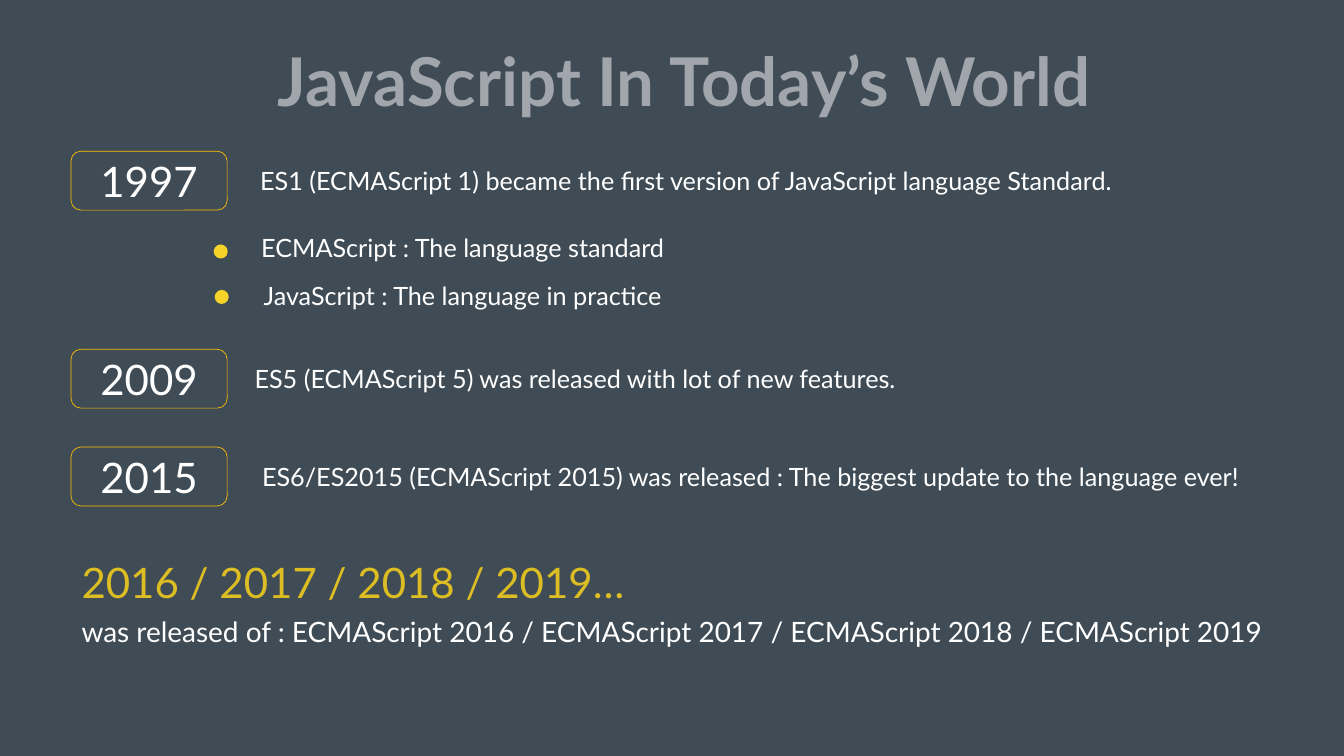
"""Build a slide on the history of JavaScript language versions."""
from pptx import Presentation
from pptx.dml.color import RGBColor
from pptx.enum.shapes import MSO_SHAPE as Shape
from pptx.enum.text import MSO_ANCHOR as Anchor, MSO_AUTO_SIZE as AutoSize, PP_ALIGN as Align
from pptx.util import Cm, Pt

BACKGROUND, WHITE, GRAY = "404C55", "FFFFFF", "A1A6AC"
AMBER, YELLOW, GOLD = "FFC000", "F5D328", "DCBD23"

TITLE = "JavaScript In Today’s World"
MILESTONES = [
    ("1997", 7.62, 45.01,
     "ES1 (ECMAScript 1) became the first version of JavaScript language Standard."),
    ("2009", 17.6, 34.16,
     "ES5 (ECMAScript 5) was released with lot of new features. "),
    ("2015", 22.53, 51.84,
     "ES6/ES2015 (ECMAScript 2015) was released : The biggest update to the language ever! "),
]
NOTES = [
    ("ECMAScript : The language standard", (12.5, 11.51, 21.64, 1.93), (10.77, 12.32)),
    ("JavaScript : The language in practice", (12.52, 13.97, 21.59, 1.8), (10.82, 14.61)),
]
LATER_YEARS = "2016 / 2017 / 2018 / 2019…"
LATER_RELEASES = ("was released of : ECMAScript 2016 / ECMAScript 2017 / "
                  "ECMAScript 2018 / ECMAScript 2019")

BADGE_LEFT, BADGE_WIDTH, BADGE_HEIGHT = 3.58, 7.87, 2.97
STATEMENT_LEFT, STATEMENT_HEIGHT = 12.07, 1.93
DOT_SIZE = 0.71
LATER_LEFT = 3.91


def color(value):
    return RGBColor.from_string(value)


def write(shape, text, size=36, fill=WHITE, bold=False, align=Align.CENTER,
          spacing=None, wrap=False, inset=0.2):
    frame = shape.text_frame
    frame.word_wrap = wrap
    frame.vertical_anchor = Anchor.MIDDLE
    frame.margin_left = frame.margin_right = Cm(inset)
    frame.margin_top = frame.margin_bottom = Cm(inset)
    paragraph = frame.paragraphs[0]
    paragraph.alignment = align
    if spacing:
        paragraph.line_spacing = spacing
    run = paragraph.add_run()
    run.text = text
    run.font.name = "Lato"
    run.font.size = Pt(size)
    run.font.bold = bold
    run.font.color.rgb = color(fill)


def add_text(slide, text, box, **style):
    shape = slide.shapes.add_textbox(*map(Cm, box))
    write(shape, text, **style)
    shape.text_frame.auto_size = AutoSize.SHAPE_TO_FIT_TEXT


def add_badge(slide, year, top):
    shape = slide.shapes.add_shape(
        Shape.ROUNDED_RECTANGLE, *map(Cm, (BADGE_LEFT, top, BADGE_WIDTH, BADGE_HEIGHT)))
    shape.shadow.inherit = False
    shape.fill.background()
    shape.line.color.rgb = color(AMBER)
    shape.line.width = Pt(1)
    write(shape, year, size=60, inset=0)


def add_dot(slide, left, top):
    shape = slide.shapes.add_shape(
        Shape.FLOWCHART_CONNECTOR, *map(Cm, (left, top, DOT_SIZE, DOT_SIZE)))
    shape.shadow.inherit = False
    shape.fill.solid()
    shape.fill.fore_color.rgb = color(YELLOW)
    shape.line.fill.background()


def main():
    presentation = Presentation()
    presentation.slide_width, presentation.slide_height = Cm(67.74), Cm(38.1)
    slide = presentation.slides.add_slide(presentation.slide_layouts[6])
    slide.background.fill.solid()
    slide.background.fill.fore_color.rgb = color(BACKGROUND)

    add_text(slide, TITLE, (2.31, 2.74, 64.34, 3.28), size=96, fill=GRAY,
             bold=True, spacing=0.8, wrap=True, inset=0)
    for year, top, width, statement in MILESTONES:
        add_badge(slide, year, top)
        statement_top = top + (BADGE_HEIGHT - STATEMENT_HEIGHT) / 2
        add_text(slide, statement, (STATEMENT_LEFT, statement_top, width, STATEMENT_HEIGHT))
    for note, box, dot in NOTES:
        add_dot(slide, *dot)
        add_text(slide, note, box)
    add_text(slide, LATER_YEARS, (LATER_LEFT, 27.81, 32.03, 2.97), size=60,
             fill=GOLD, align=Align.LEFT, wrap=True)
    add_text(slide, LATER_RELEASES, (LATER_LEFT, 30.76, 60.43, 2.11), size=40,
             align=Align.LEFT)
    presentation.save("out.pptx")


if __name__ == "__main__":
    main()
